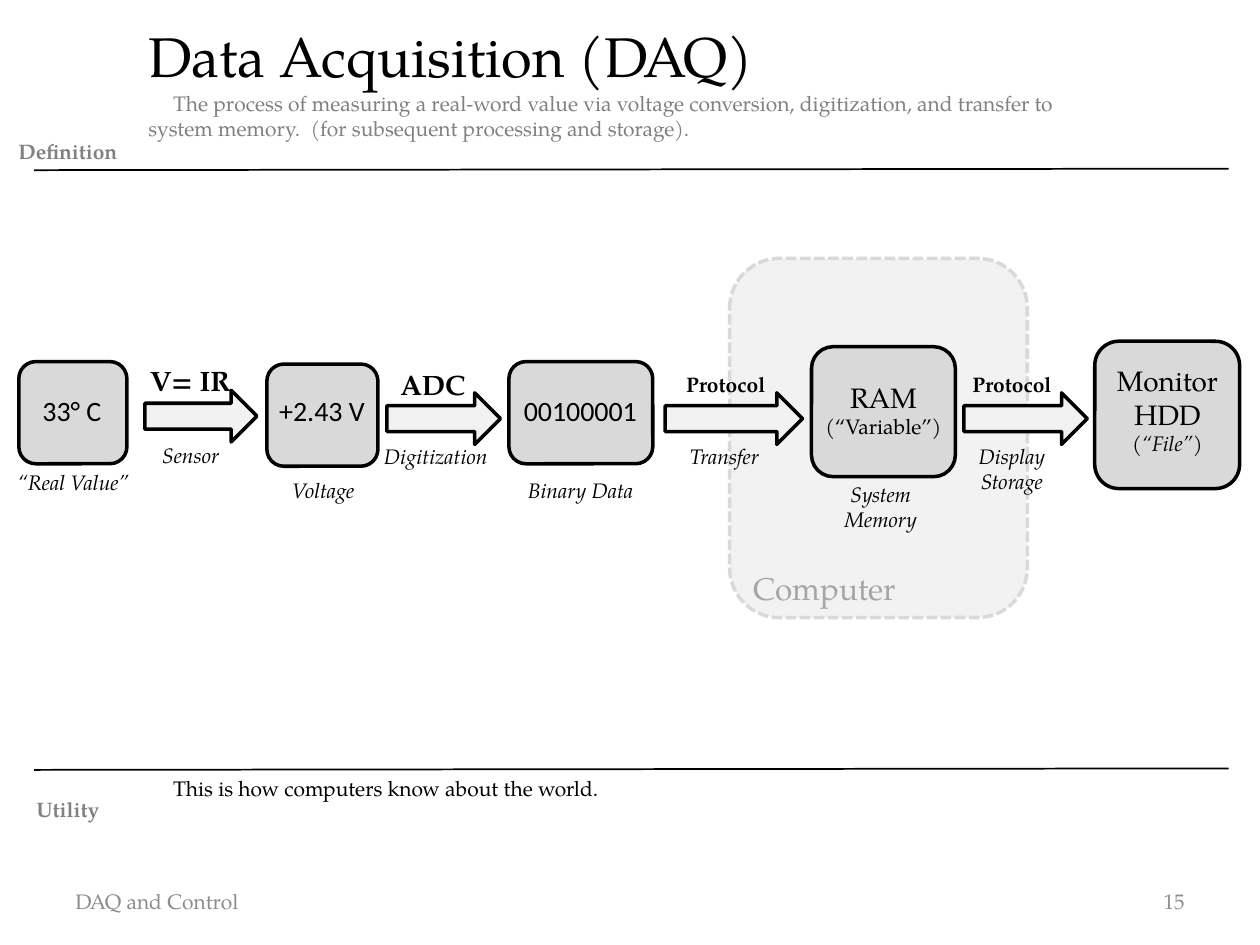
"""Build the Data Acquisition (DAQ) slide."""
import pptx
import pptx.dml.color
import pptx.enum.dml
import pptx.enum.shapes
import pptx.enum.text
import pptx.oxml.ns
import pptx.util
import lxml.etree

Cm, Pt = pptx.util.Cm, pptx.util.Pt
RGBColor = pptx.dml.color.RGBColor
MSO_SHAPE = pptx.enum.shapes.MSO_SHAPE
ALIGN = pptx.enum.text.PP_ALIGN
ANCHOR = pptx.enum.text.MSO_ANCHOR
DASH = pptx.enum.dml.MSO_LINE

BLACK = RGBColor(0x00, 0x00, 0x00)
GRAY = RGBColor(0x80, 0x80, 0x80)
FOOTER_GRAY = RGBColor(0x8C, 0x8C, 0x8C)
LABEL_GRAY = RGBColor(0xA6, 0xA6, 0xA6)
BOX_GRAY = RGBColor(0xD9, 0xD9, 0xD9)
PALE_GRAY = RGBColor(0xF2, 0xF2, 0xF2)


class Deck:
    serif = "TeX Gyre Pagella"
    sans = "Calibri"

    def __init__(self):
        self.prs = pptx.Presentation()
        self.prs.slide_width, self.prs.slide_height = Cm(25.4), Cm(19.05)
        self.s = self.prs.slides.add_slide(self.prs.slide_layouts[6])

    def shape(self, kind, x, y, w, h, fill, line=BLACK, dash=None):
        sp = self.s.shapes.add_shape(kind, Cm(x), Cm(y), Cm(w), Cm(h))
        sp.shadow.inherit = False
        sp.fill.solid()
        sp.fill.fore_color.rgb = fill
        sp.line.color.rgb = line
        sp.line.width = Pt(2)
        if dash:
            sp.line.dash_style = dash

    def box(self, x, y, w, h):
        self.shape(MSO_SHAPE.ROUNDED_RECTANGLE, x, y, w, h, BOX_GRAY)

    def arrow(self, x, y, w):
        self.shape(MSO_SHAPE.RIGHT_ARROW, x, y, w, 1.04, PALE_GRAY)

    def rule(self, y):
        cn = self.s.shapes.add_connector(
            pptx.enum.shapes.MSO_CONNECTOR.STRAIGHT, Cm(0.69), Cm(y), Cm(24.77), Cm(y - 0.03))
        cn.line.color.rgb = BLACK
        cn.line.width = Pt(1)
        lxml.etree.SubElement(cn._element.spPr, pptx.oxml.ns.qn("a:effectLst"))

    def text(self, x, y, w, h, *paras, align=ALIGN.LEFT, anchor=ANCHOR.TOP,
             wrap=True, indent=0, before=0, **style):
        tf = self.s.shapes.add_textbox(Cm(x), Cm(y), Cm(w), Cm(h)).text_frame
        tf.word_wrap = wrap
        tf.vertical_anchor = anchor
        for i, para in enumerate(paras):
            p = tf.add_paragraph() if i else tf.paragraphs[0]
            p.alignment = align
            p.space_before = Pt(before)
            if indent:
                p._p.get_or_add_pPr().set("indent", str(Cm(indent)))
            words, own = para if isinstance(para, tuple) else (para, {})
            for j, line in enumerate(words.split("\n")):
                if j:
                    p.add_line_break()
                self.run(p, line, **{**style, **own})

    def run(self, p, words, size=12, color=BLACK, font=serif, bold=False, italic=False):
        r = p.add_run()
        r.text = words
        r.font.name, r.font.size = font, Pt(size)
        r.font.bold, r.font.italic = bold, italic
        r.font.color.rgb = color

    def caption(self, x, y, w, *lines, align=ALIGN.CENTER, wrap=True):
        self.text(x, y, w, 0.25 + 0.51 * len(lines), *lines, align=align, wrap=wrap, italic=True)


def add_frame(d):
    for y, label in ((15.93, "Utility"), (2.67, "Definition")):
        d.text(0, y, 2.74, 0.76, label, align=ALIGN.CENTER, color=GRAY, bold=True)
    for y in (3.43, 15.52):
        d.rule(y)
    d.text(2.74, 0.3, 20, 1.4, "Data Acquisition (DAQ)", size=32)
    d.text(2.74, 1.7, 20, 1.73,
           "The process of measuring a real-word value via voltage conversion, digitization, "
           "and transfer to system memory.  (for subsequent processing and storage).",
           indent=0.5, color=GRAY)
    d.text(2.74, 15.5, 20, 2, "This is how computers know about the world.", indent=0.5, before=2)
    for x, words, align in ((1.27, "DAQ and Control", ALIGN.LEFT), (18.21, "15", ALIGN.RIGHT)):
        d.text(x, 17.65, 5.92, 1.02, words, align=align, anchor=ANCHOR.MIDDLE, color=FOOTER_GRAY)


def add_pipeline(d):
    d.shape(MSO_SHAPE.ROUNDED_RECTANGLE, 14.71, 5.21, 6, 7.24, PALE_GRAY, BOX_GRAY,
            DASH.SQUARE_DOT)
    d.text(14.94, 11.35, 3.9, 1.02, "Computer", size=18, color=LABEL_GRAY)

    for box in ((0.38, 7.29, 2.18, 2.06), (5.38, 7.34, 2.24, 2.06), (10.26, 7.29, 2.9, 2.06),
                (16.36, 6.99, 2.9, 2.62), (22.07, 6.88, 2.92, 2.97)):
        d.box(*box)
    for arrow in ((2.92, 7.87, 2.26), (7.8, 7.92, 2.29), (13.41, 7.92, 2.77), (19.43, 7.92, 2.49)):
        d.arrow(*arrow)

    d.text(0.41, 7.8, 2.08, 0.94, "33° C", align=ALIGN.CENTER, size=16, font=d.sans)
    d.text(5.38, 7.8, 2.26, 0.94, "+2.43 V", wrap=False, size=16, font=d.sans)
    d.text(10.31, 7.8, 3.02, 0.94, "00100001", size=16, font=d.sans)
    d.text(16.31, 7.54, 3, 1.45, "RAM", ("(“Variable”)", {"size": 12}),
           align=ALIGN.CENTER, size=16)
    d.text(22.15, 7.21, 2.77, 2.13, "Monitor\nHDD", ("(“File”)", {"size": 12, "italic": True}),
           align=ALIGN.CENTER, size=16)

    d.text(2.77, 7.21, 2.34, 0.94, "V= IR", size=16, bold=True)
    d.text(7.82, 7.29, 2.34, 0.94, "ADC", size=16, bold=True)
    for x in (13.46, 19.23):
        d.text(x, 7.37, 2.34, 0.76, "Protocol", align=ALIGN.CENTER, bold=True)

    d.caption(0.08, 9.35, 2.8, "“Real Value”")
    d.caption(3.02, 8.79, 1.73, "Sensor", align=ALIGN.LEFT, wrap=False)
    d.caption(5.13, 9.5, 2.77, "Voltage")
    d.caption(7.49, 8.81, 2.72, "Digitization", align=ALIGN.LEFT, wrap=False)
    d.caption(10.39, 9.5, 2.77, "Binary Data", align=ALIGN.LEFT)
    d.caption(13.59, 8.81, 2.03, "Transfer")
    d.caption(16.74, 9.58, 2.03, "System", "Memory")
    d.caption(19.23, 8.81, 2.34, "Display", "Storage")


if __name__ == "__main__":
    deck = Deck()
    add_frame(deck)
    add_pipeline(deck)
    deck.prs.save("out.pptx")
